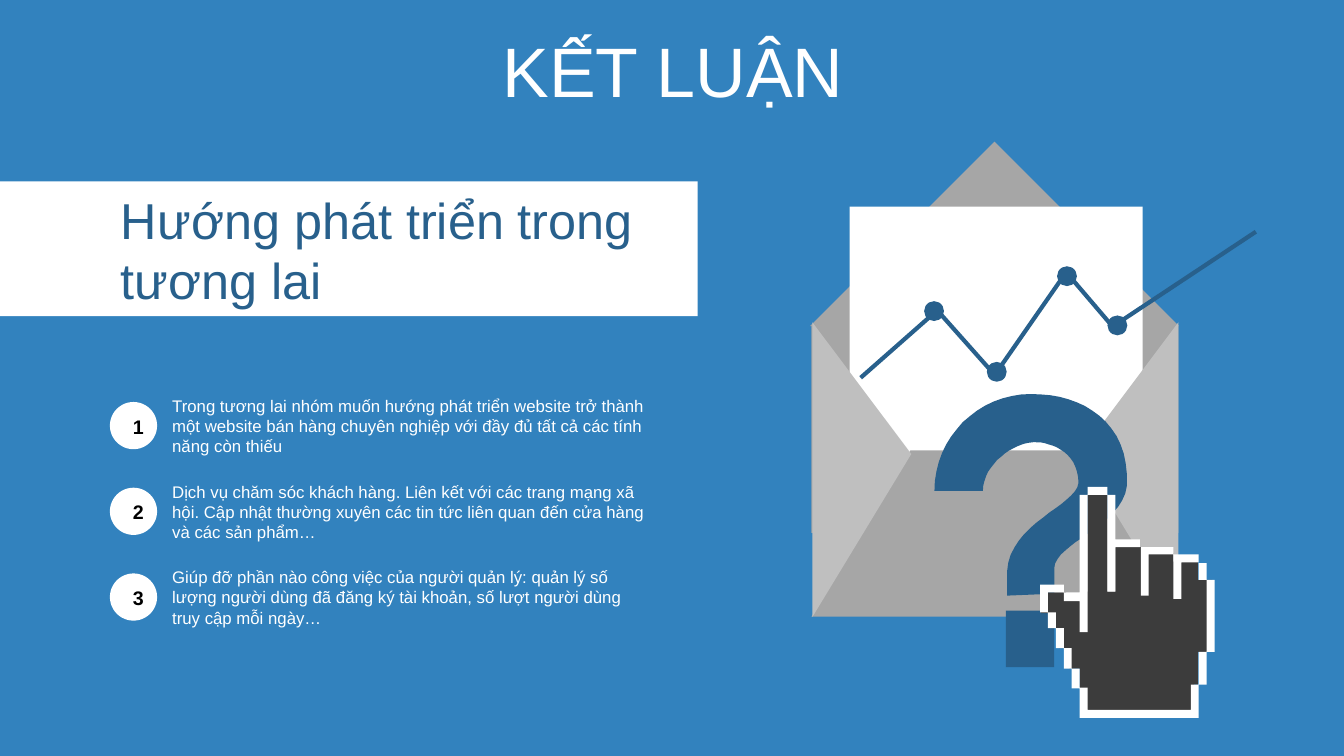
from pptx import Presentation
from pptx.dml.color import RGBColor
from pptx.enum.shapes import MSO_SHAPE
from pptx.enum.text import MSO_ANCHOR, MSO_AUTO_SIZE, PP_ALIGN
from pptx.util import Cm, Pt

RECTANGLE = MSO_SHAPE.RECTANGLE
OVAL = MSO_SHAPE.OVAL
TRIANGLE = MSO_SHAPE.ISOSCELES_TRIANGLE
RIGHT_TRIANGLE = MSO_SHAPE.RIGHT_TRIANGLE
TRAPEZOID = MSO_SHAPE.TRAPEZOID
MIDDLE = MSO_ANCHOR.MIDDLE
GROW = MSO_AUTO_SIZE.SHAPE_TO_FIT_TEXT
LEFT, CENTER = PP_ALIGN.LEFT, PP_ALIGN.CENTER

FONT = "Arial"
BLUE, NAVY, WHITE, BLACK = "3282BE", "28608C", "FFFFFF", "000000"
GRAY, LIGHT_GRAY, CHARCOAL = "A6A6A6", "BFBFBF", "3C3C3C"

PLANS = [
    "Trong tương lai nhóm muốn hướng phát triển website trở thành một website "
    "bán hàng chuyên nghiệp với đầy đủ tất cả các tính năng còn thiếu",
    "Dịch vụ chăm sóc khách hàng. Liên kết với các trang mạng xã hội. Cập nhật "
    "thường xuyên các tin tức liên quan đến cửa hàng và các sản phẩm…",
    "Giúp đỡ phần nào công việc của người quản lý: quản lý số lượng người dùng "
    "đã đăng ký tài khoản, số lượt người dùng truy cập mỗi ngày…",
]
ROW_PITCH = 2.16

TREND = [(0, 368), (193, 198), (338, 361), (518, 102), (635, 239), (996, 0)]
TREND_DOTS = [(23.29, 7.59), (24.87, 9.12), (26.64, 6.71), (27.91, 7.95)]

QUESTION_START = (244, 0)
QUESTION_STEPS = [
    [(373, 0), (493, 69), (485, 231)],
    [(470, 338), (305, 373), (302, 439)],
    [(302, 503)],
    [(183, 508)],
    [(183, 447)],
    [(190, 325), (356, 282), (363, 224)],
    [(363, 140), (282, 117), (244, 122)],
    [(203, 124), (122, 175), (122, 244)],
    [(0, 244)],
    [(0, 109), (109, 0), (244, 0)],
]

HAND = [
    (60, 10), (85, 10), (85, 132), (95, 132), (95, 76), (127, 76), (127, 132),
    (136, 132), (136, 84), (168, 84), (168, 94), (199, 94), (199, 117),
    (217, 117), (217, 208), (199, 208), (199, 249), (194, 249), (194, 283),
    (56, 283), (56, 254), (50, 254), (50, 229), (37, 229), (37, 203),
    (24, 203), (24, 178), (14, 178), (14, 159), (1, 159), (1, 133), (33, 133),
    (33, 136), (56, 137), (56, 132), (60, 132),
]
HAND_EDGES = [
    (60, 0, 85, 10), (50, 10, 60, 183), (85, 10, 95, 132), (95, 66, 126, 76),
    (127, 76, 168, 85), (127, 85, 137, 137), (168, 85, 200, 95),
    (168, 95, 178, 141), (200, 96, 210, 117), (210, 117, 220, 208),
    (200, 208, 210, 249), (190, 249, 200, 291), (50, 281, 190, 291),
    (50, 253, 60, 281), (40, 229, 50, 254), (30, 203, 40, 229),
    (20, 178, 30, 203), (10, 158, 20, 178), (0, 123, 10, 158),
    (10, 123, 30, 133), (30, 133, 50, 144),
]


def color(value):
    return RGBColor.from_string(value)


def outline(start, steps, parts=16):
    """Return the points of an outline made of straight and cubic steps."""
    points = [start]
    for step in steps:
        if len(step) == 1:
            points += step
            continue
        corners = [points[-1], *step]
        for part in range(1, parts + 1):
            t = part / parts
            weights = ((1 - t) ** 3, 3 * t * (1 - t) ** 2, 3 * t * t * (1 - t), t ** 3)
            points.append(tuple(
                sum(w * corner[axis] for w, corner in zip(weights, corners))
                for axis in (0, 1)))
    return points


class Page:
    """Draws styled elements on one slide, with lengths in centimetres."""

    def __init__(self, deck):
        self.slide = deck.slides.add_slide(deck.slide_layouts[6])
        fill = self.slide.background.fill
        fill.solid()
        fill.fore_color.rgb = color(BLUE)

    def paint(self, shape, fill):
        shape.shadow.inherit = False
        shape.fill.solid()
        shape.fill.fore_color.rgb = color(fill)
        shape.line.fill.background()

    def shape(self, kind, left, top, width, height, fill, turn=0, adjust=None):
        shape = self.slide.shapes.add_shape(
            kind, Cm(left), Cm(top), Cm(width), Cm(height))
        self.paint(shape, fill)
        shape.rotation = turn
        if adjust is not None:
            shape.adjustments[0] = adjust

    def freeform(self, left, top, contours, unit, close=True):
        first, *others = contours
        builder = self.slide.shapes.build_freeform(*first[0], scale=Cm(unit))
        builder.add_line_segments(first[1:], close=close)
        for contour in others:
            builder.move_to(*contour[0])
            builder.add_line_segments(contour[1:], close=close)
        return builder.convert_to_shape(Cm(left), Cm(top))

    def area(self, left, top, contours, unit, fill):
        self.paint(self.freeform(left, top, contours, unit), fill)

    def trend(self, left, top, points, unit, stroke, weight):
        line = self.freeform(left, top, [points], unit, close=False)
        line.shadow.inherit = False
        line.fill.background()
        line.line.color.rgb = color(stroke)
        line.line.width = Pt(weight)

    def text(self, left, top, width, height, words, size, ink,
             align=LEFT, bold=False, inset=(0.25, 0.13), grow=True):
        box = self.slide.shapes.add_textbox(
            Cm(left), Cm(top), Cm(width), Cm(height))
        frame = box.text_frame
        frame.word_wrap = True
        frame.vertical_anchor = MIDDLE
        frame.margin_left = frame.margin_right = Cm(inset[0])
        frame.margin_top = frame.margin_bottom = Cm(inset[1])
        if grow:
            frame.auto_size = GROW
        para = frame.paragraphs[0]
        para.text = words
        para.alignment = align
        para.font.name = FONT
        para.font.size = Pt(size)
        para.font.bold = bold
        para.font.color.rgb = color(ink)
        return para


def draw_envelope(page):
    page.shape(RECTANGLE, 20.45, 8.2, 9.25, 5.23, GRAY)
    page.shape(RIGHT_TRIANGLE, 21.77, 4.93, 6.58, 6.58, GRAY, turn=135)
    page.shape(RECTANGLE, 21.41, 5.21, 7.39, 10.19, WHITE)
    page.shape(TRAPEZOID, 20.45, 11.35, 9.3, 4.19, GRAY, adjust=0.595)
    for left, turn, tip in ((18.01, 90, 0.447), (24.74, 270, 0.553)):
        page.shape(TRIANGLE, left, 10.59, 7.42, 2.49, LIGHT_GRAY, turn, tip)
    page.trend(21.69, 5.84, TREND, 0.01, NAVY, 3)
    for left, top in TREND_DOTS:
        page.shape(OVAL, left, top, 0.5, 0.5, NAVY)


def draw_question(page):
    mark = outline(QUESTION_START, QUESTION_STEPS)
    page.area(23.55, 9.93, [mark], 0.01, NAVY)
    page.shape(RECTANGLE, 25.35, 15.39, 1.22, 1.42, NAVY)


def draw_hand(page):
    edges = [[(l, t), (r, t), (r, b), (l, b)] for l, t, r, b in HAND_EDGES]
    page.area(26.21, 12.27, [HAND], 0.02, CHARCOAL)
    page.area(26.21, 12.27, edges, 0.02, WHITE)


def main():
    deck = Presentation()
    deck.slide_width, deck.slide_height = Cm(33.87), Cm(19.05)
    page = Page(deck)
    title = page.text(0.89, 0.94, 32.16, 2.01, "KẾT LUẬN", 50, WHITE,
                      align=CENTER, grow=False)
    title.line_spacing = 0.8
    title.space_before = Pt(10)
    draw_envelope(page)
    draw_question(page)
    draw_hand(page)
    page.shape(RECTANGLE, 0, 4.57, 17.58, 3.4, WHITE)
    for index, plan in enumerate(PLANS):
        drop = index * ROW_PITCH
        page.shape(OVAL, 2.77, 10.13 + drop, 1.19, 1.19, WHITE)
        page.text(4.09, 9.83 + drop, 12.42, 1.8, plan, 12, WHITE)
        page.text(3.1, 10.44 + drop, 0.56, 0.61, str(index + 1), 14, BLACK,
                  align=CENTER, bold=True, inset=(0.25, 0))
    page.text(3.05, 4.75, 13.36, 3.07, "Hướng phát triển trong tương lai",
              36, NAVY, inset=(0, 0))
    deck.save("out.pptx")


if __name__ == "__main__":
    main()
